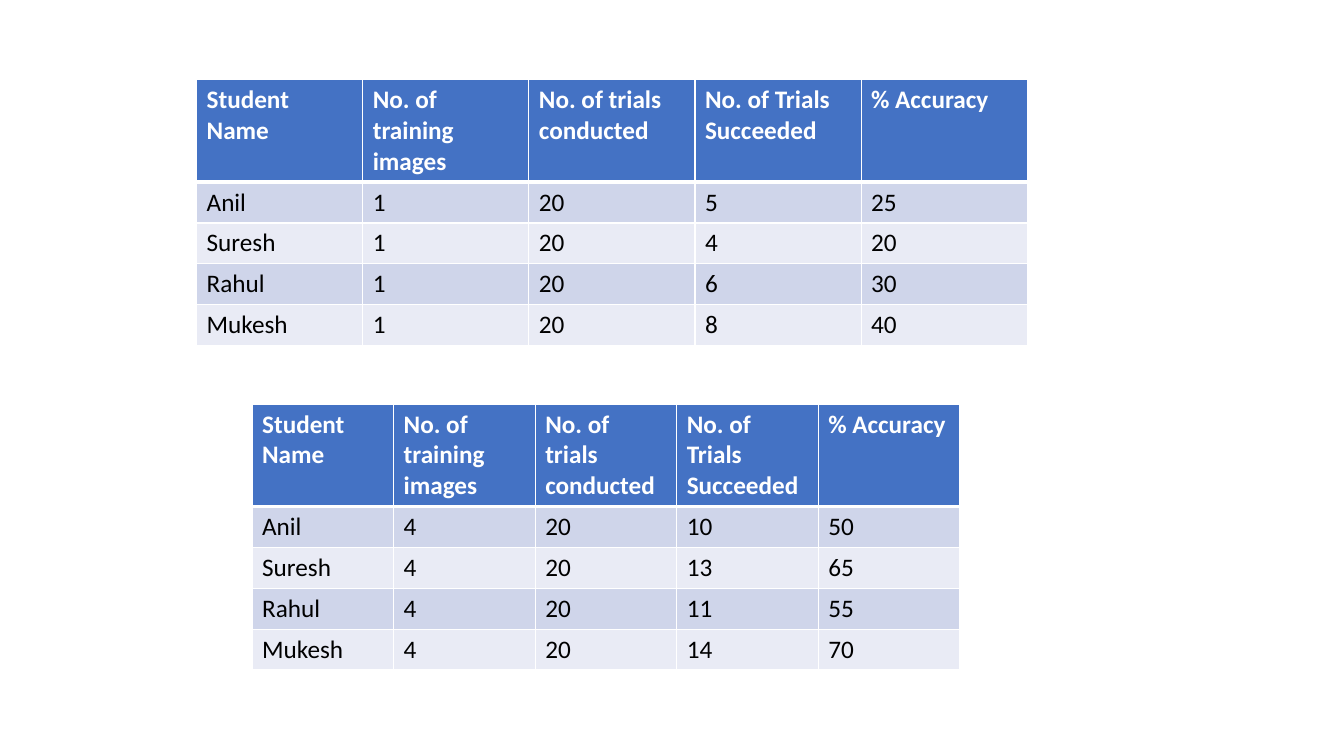
import dataclasses

import pptx
import pptx.dml.color
import pptx.oxml.ns
import pptx.util
from lxml import etree

PX = 9144


@dataclasses.dataclass(frozen=True)
class Theme:
    """Colours, type sizes and line widths of the slide."""
    font: str = "Calibri"
    size: int = 18
    header_fill: str = "4472C4"
    header_text: str = "FFFFFF"
    body_fills: tuple = ("CFD5EA", "E9EBF5")
    body_text: str = "000000"
    rule: str = "FFFFFF"
    thin: int = 1
    thick: int = 3


THEME = Theme()
HEADINGS = ("Student Name", "No. of training images", "No. of trials conducted",
            "No. of Trials Succeeded", "% Accuracy")
STUDENTS = ("Anil", "Suresh", "Rahul", "Mukesh")
TRIALS = 20
HEADER_HEIGHT = 101
EXPERIMENTS = (
    {"box": (195, 79, 824, 261), "images": 1, "succeeded": (5, 4, 6, 8)},
    {"box": (250, 401, 702, 261), "images": 4, "succeeded": (10, 13, 11, 14)},
)


def rgb(value):
    """Return the colour object for a hex value."""
    return pptx.dml.color.RGBColor.from_string(value)


def rule_cell(cell, widths):
    """Draw the cell's border rules, given widths in points by side."""
    properties = cell._tc.get_or_add_tcPr()
    for side, width in widths.items():
        rule = etree.SubElement(properties, pptx.oxml.ns.qn("a:ln" + side),
                                w=str(pptx.util.Pt(width)))
        paint = etree.SubElement(rule, pptx.oxml.ns.qn("a:solidFill"))
        etree.SubElement(paint, pptx.oxml.ns.qn("a:srgbClr"), val=THEME.rule)


def write_cell(cell, wording, row):
    """Fill, rule and letter one cell according to its row."""
    is_header = row == 0
    rule_cell(cell, {"L": THEME.thin, "R": THEME.thin,
                     "T": THEME.thick if row == 1 else THEME.thin,
                     "B": THEME.thick if is_header else THEME.thin})
    cell.fill.solid()
    cell.fill.fore_color.rgb = rgb(
        THEME.header_fill if is_header else THEME.body_fills[(row - 1) % 2])
    cell.text = str(wording)
    font = cell.text_frame.paragraphs[0].runs[0].font
    lettering = {"name": THEME.font, "size": pptx.util.Pt(THEME.size), "bold": is_header}
    for attribute, value in lettering.items():
        setattr(font, attribute, value)
    font.color.rgb = rgb(THEME.header_text if is_header else THEME.body_text)


def accuracy_table(slide, box, images, succeeded):
    """Place the trial results of one experiment in the box."""
    records = [HEADINGS] + [
        (student, images, TRIALS, successes, successes * 100 // TRIALS)
        for student, successes in zip(STUDENTS, succeeded)]
    left, top, width, height = (length * PX for length in box)
    results = slide.shapes.add_table(
        len(records), len(HEADINGS), left, top, width, height).table
    for column in results.columns:
        column.width = width // len(HEADINGS)
    body_height = (height - HEADER_HEIGHT * PX) // len(STUDENTS)
    for row, record in enumerate(records):
        results.rows[row].height = body_height if row else HEADER_HEIGHT * PX
        for column, wording in enumerate(record):
            write_cell(results.cell(row, column), wording, row)


def main():
    """Build the slide and save it."""
    deck = pptx.Presentation()
    deck.slide_width, deck.slide_height = 1333 * PX, 750 * PX
    slide = deck.slides.add_slide(deck.slide_layouts[6])
    for experiment in EXPERIMENTS:
        accuracy_table(slide, **experiment)
    deck.save("out.pptx")


if __name__ == "__main__":
    main()
